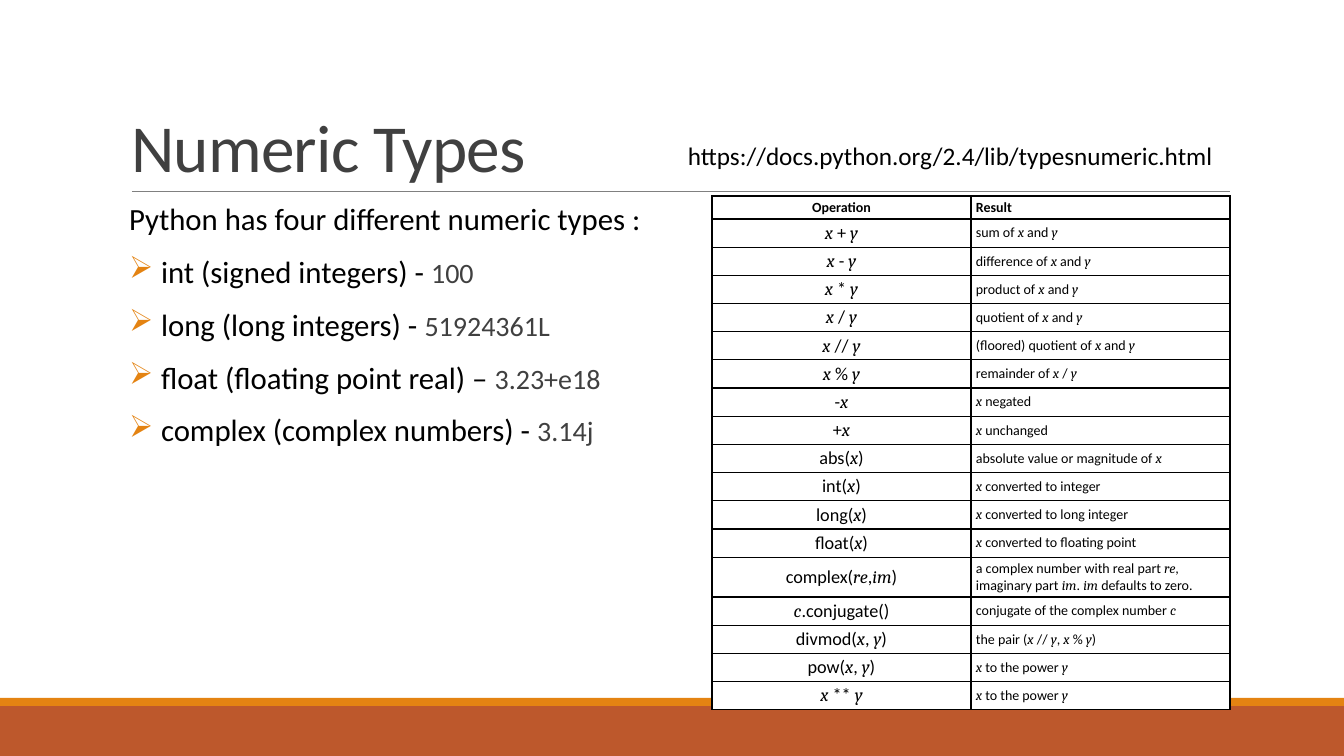
from lxml.etree import SubElement as sub_element
from pptx import Presentation
from pptx.dml.color import RGBColor
from pptx.enum.shapes import MSO_CONNECTOR as Connector, MSO_SHAPE as Shape
from pptx.enum.text import MSO_ANCHOR as Anchor, MSO_AUTO_SIZE as AutoSize, PP_ALIGN as Align
from pptx.oxml.ns import qn
from pptx.util import Pt

EMU_PER_PX = 914400 / 100.8

BULLETS = [
    ("int (signed integers) - ", "100"),
    ("long (long integers) - ", "51924361L"),
    ("float (floating point real) – ", "3.23+e18"),
    ("complex (complex numbers) - ", "3.14j"),
]

OPERATIONS = [
    ("Operation", "Result"),
    ("_x_ + _y_", "sum of _x_ and _y_"),
    ("_x_ - _y_", "difference of _x_ and _y_"),
    ("_x_ * _y_", "product of _x_ and _y_"),
    ("_x_ / _y_", "quotient of _x_ and _y_"),
    ("_x_ // _y_", "(floored) quotient of _x_ and _y_"),
    ("_x_ % _y_", "remainder of _x_ / _y_"),
    ("-_x_", "_x_ negated"),
    ("+_x_", "_x_ unchanged"),
    ("abs(_x_)", "absolute value or magnitude of _x_"),
    ("int(_x_)", "_x_ converted to integer"),
    ("long(_x_)", "_x_ converted to long integer"),
    ("float(_x_)", "_x_ converted to floating point"),
    ("complex(_re_,_im_)",
     "a complex number with real part _re_, imaginary part _im_. _im_ defaults to zero."),
    ("_c_.conjugate()", "conjugate of the complex number _c_"),
    ("divmod(_x_, _y_)", "the pair (_x_ // _y_, _x_ % _y_)"),
    ("pow(_x_, _y_)", "_x_ to the power _y_"),
    ("_x_ ** _y_", "_x_ to the power _y_"),
]


def px(length):
    return round(length * EMU_PER_PX)


def color(value):
    return RGBColor.from_string(value)


class SlideBuilder:
    font = "Calibri"
    variable_font = "Cambria"
    ink = "000000"
    gray = "404040"
    accent = "E48312"

    def __init__(self, deck):
        self.slide = deck.slides.add_slide(deck.slide_layouts[5])
        self.shapes = self.slide.shapes

    def style(self, span, size, fill=ink, bold=False, variable=False):
        span.font.name = self.variable_font if variable else self.font
        span.font.size = Pt(size)
        span.font.color.rgb = color(fill)
        span.font.bold = bold
        span.font.italic = variable

    def band(self, top, height, fill):
        band = self.shapes.add_shape(Shape.RECTANGLE, 0, px(top), px(1344), px(height))
        band.shadow.inherit = False
        band.fill.solid()
        band.fill.fore_color.rgb = color(fill)
        band.line.fill.background()

    def rule(self, left, right, top):
        rule = self.shapes.add_connector(
            Connector.STRAIGHT, px(left), px(top), px(right), px(top))
        rule.line.color.rgb = color("808080")
        rule.line.width = Pt(0.5)
        sub_element(rule._element.spPr, qn("a:effectLst"))

    def title(self, text, left, top, width, height):
        title = self.shapes.title
        title.left, title.top = px(left), px(top)
        title.width, title.height = px(width), px(height)
        frame = title.text_frame
        frame.text = text
        frame.auto_size = AutoSize.NONE
        frame.vertical_anchor = Anchor.BOTTOM
        para = frame.paragraphs[0]
        para.alignment = Align.LEFT
        para.line_spacing = 0.85
        span = para.runs[0]
        self.style(span, 48, self.gray)
        span.font._element.set("spc", "-50")

    def link(self, text, left, top, width, height):
        box = self.shapes.add_textbox(px(left), px(top), px(width), px(height))
        frame = box.text_frame
        frame.text = text
        frame.word_wrap = False
        frame.auto_size = AutoSize.SHAPE_TO_FIT_TEXT
        self.style(frame.paragraphs[0].runs[0], 18)

    def bullet(self, para, indent):
        properties = para._p.get_or_add_pPr()
        properties.set("marL", str(px(indent)))
        properties.set("indent", str(-px(indent)))
        fill = sub_element(properties, qn("a:buClr"))
        sub_element(fill, qn("a:srgbClr"), val=self.accent)
        sub_element(properties, qn("a:buChar"), char="➢")

    def type_list(self, heading, items, left, top, width, height):
        box = self.shapes.add_textbox(px(left), px(top), px(width), px(height))
        frame = box.text_frame
        frame.word_wrap = True
        frame.margin_left = frame.margin_right = 0
        frame.text = heading
        self.style(frame.paragraphs[0].runs[0], 22)
        for label, example in items:
            para = frame.add_paragraph()
            para.space_before = Pt(12)
            self.bullet(para, 32)
            for text, size, fill in ((label, 22, self.ink), (example, 20, self.gray)):
                span = para.add_run()
                span.text = text
                self.style(span, size, fill)
        for para in frame.paragraphs:
            para.line_spacing = 0.9
            para.space_after = Pt(2)

    def cell(self, cell, text, size, align, bold):
        cell.margin_left = cell.margin_right = px(5)
        cell.margin_top = cell.margin_bottom = px(3)
        cell.vertical_anchor = Anchor.MIDDLE
        para = cell.text_frame.paragraphs[0]
        para.alignment = align
        for index, piece in enumerate(text.split("_")):
            if piece:
                span = para.add_run()
                span.text = piece
                self.style(span, size, bold=bold, variable=index % 2 == 1)
        properties = cell._tc.get_or_add_tcPr()
        for side in ("lnL", "lnR", "lnT", "lnB"):
            border = sub_element(properties, qn(f"a:{side}"), w=str(Pt(1)))
            fill = sub_element(border, qn("a:solidFill"))
            sub_element(fill, qn("a:srgbClr"), val=self.ink)
        cell.fill.solid()
        cell.fill.fore_color.rgb = color("FFFFFF")

    def table(self, rows, left, top, width, heights):
        frame = self.shapes.add_table(
            len(rows), 2, px(left), px(top), px(width), px(sum(heights)))
        table = frame.table
        table.first_row = table.horz_banding = False
        for row, height in zip(table.rows, heights):
            row.height = px(height)
        for index, (operation, result) in enumerate(rows):
            header = index == 0
            self.cell(table.cell(index, 0), operation, 10 if header else 13, Align.CENTER, header)
            self.cell(table.cell(index, 1), result, 10, Align.LEFT, header)


def main():
    deck = Presentation()
    deck.slide_width, deck.slide_height = px(1344), px(756)
    builder = SlideBuilder(deck)
    builder.band(706, 50, "BD582C")
    builder.band(698, 8, builder.accent)
    builder.rule(132, 1230, 191)
    builder.title("Numeric Types", 121, 31, 1109, 160)
    heights = [23] + [27] * 12 + [40] + [27] * 4
    builder.table(OPERATIONS, 712, 196, 518, heights)
    builder.link("https://docs.python.org/2.4/lib/typesnumeric.html", 678, 135, 551, 40)
    builder.type_list("Python has four different numeric types :", BULLETS, 129, 199, 1167, 495)
    deck.save("out.pptx")


if __name__ == "__main__":
    main()
